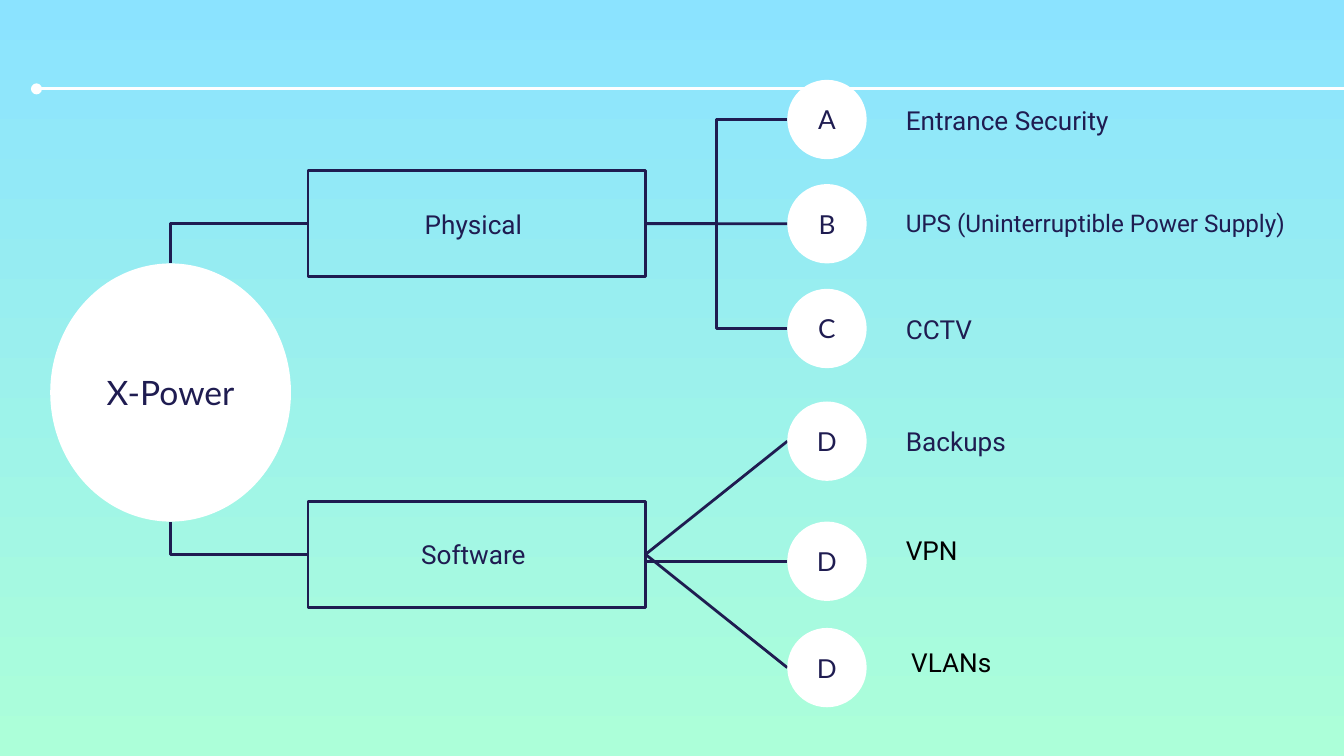
"""Build a slide with a tree of physical and software security measures."""
from lxml.etree import SubElement
from pptx import Presentation
from pptx.dml.color import RGBColor
from pptx.enum.shapes import MSO_CONNECTOR, MSO_SHAPE
from pptx.enum.text import MSO_ANCHOR, PP_ALIGN
from pptx.oxml.ns import qn
from pptx.util import Cm, Pt

NAVY = RGBColor(0x1F, 0x1C, 0x51)
WHITE = RGBColor(0xFF, 0xFF, 0xFF)
BLACK = RGBColor(0x00, 0x00, 0x00)
SKY = RGBColor(0x8B, 0xE3, 0xFF)
MINT = RGBColor(0xAC, 0xFF, 0xD9)

HUB_LEFT, HUB_TOP, HUB_W, HUB_H = 0.95, 4.98, 4.55, 4.88
HUB_X = HUB_LEFT + HUB_W / 2
BOX_LEFT, BOX_W, BOX_H = 5.82, 6.38, 2.01
BOX_RIGHT = BOX_LEFT + BOX_W
DOT_LEFT, DOT = 14.88, 1.5
LABEL_LEFT, LABEL_W, LABEL_H = 16.87, 8.1, 1.1

PHYSICAL = [
    ("A", 2.26, "Entrance Security", {}),
    ("B", 4.23, "UPS (Uninterruptible Power Supply)", {"size": 13}),
    ("C", 6.21, "CCTV", {}),
]
SOFTWARE = [
    ("D", 8.34, "Backups", {}),
    ("D", 10.61, "VPN", {"dy": -0.75, "color": BLACK}),
    ("D", 12.62, "VLANs", {"dx": 0.1, "dy": -0.65, "color": BLACK}),
]


def set_background(s):
    """Fill the slide with a gradient from top to bottom."""
    fill = s.background.fill
    fill.gradient()
    fill.gradient_angle = 270
    for stop, color in zip(fill.gradient_stops, (SKY, MINT)):
        stop.color.rgb = color


def write(sp, text, size=14, font="Roboto", color=NAVY,
          align=PP_ALIGN.CENTER, anchor=MSO_ANCHOR.MIDDLE):
    """Put one formatted paragraph into a shape."""
    tf = sp.text_frame
    tf.word_wrap = True
    tf.vertical_anchor = anchor
    tf.margin_left = tf.margin_right = tf.margin_top = tf.margin_bottom = Cm(0.25)
    p = tf.paragraphs[0]
    p.alignment = align
    r = p.add_run()
    r.text = text
    r.font.size = Pt(size)
    r.font.name = font
    r.font.color.rgb = color


def add_circle(s, left, top, width, height, text, size=14):
    """Add a white ellipse with centred text."""
    sp = s.shapes.add_shape(MSO_SHAPE.OVAL, Cm(left), Cm(top), Cm(width), Cm(height))
    sp.shadow.inherit = False
    sp.fill.solid()
    sp.fill.fore_color.rgb = WHITE
    sp.line.fill.background()
    write(sp, text, size=size, font="Lato")


def add_box(s, middle, text):
    """Add an outlined branch box centred on a height."""
    sp = s.shapes.add_shape(MSO_SHAPE.RECTANGLE, Cm(BOX_LEFT), Cm(middle - BOX_H / 2),
                            Cm(BOX_W), Cm(BOX_H))
    sp.shadow.inherit = False
    sp.fill.background()
    sp.line.color.rgb = NAVY
    sp.line.width = Pt(1.5)
    write(sp, text)
    return sp


def add_line(s, x1, y1, x2, y2, kind=MSO_CONNECTOR.STRAIGHT, color=NAVY):
    """Add a connector without a shadow."""
    line = s.shapes.add_connector(kind, Cm(x1), Cm(y1), Cm(x2), Cm(y2))
    line.line.color.rgb = color
    line.line.width = Pt(1.5)
    SubElement(line._element.spPr, qn("a:effectLst"))
    return line


def add_corner(s, x1, y1, x2, y2):
    """Add a connector with a single right-angled bend."""
    line = add_line(s, x1, y1, x2, y2, MSO_CONNECTOR.ELBOW)
    line._element.spPr.find(qn("a:prstGeom")).set("prst", "bentConnector2")


def add_title_rule(s):
    """Add the white rule that starts with a dot."""
    line = add_line(s, 0.69, 1.68, 25.4, 1.68, color=WHITE)
    SubElement(line.line._get_or_add_ln(), qn("a:headEnd"), type="oval")


def add_item(s, letter, middle, text, dx=0, dy=-0.54, **style):
    """Add a lettered circle and the label beside it."""
    add_circle(s, DOT_LEFT, middle - DOT / 2, DOT, DOT, letter)
    sp = s.shapes.add_textbox(Cm(LABEL_LEFT + dx), Cm(middle + dy),
                              Cm(LABEL_W), Cm(LABEL_H))
    write(sp, text, align=PP_ALIGN.LEFT, anchor=MSO_ANCHOR.TOP, **style)


def add_branch(s, text, middle, hub_y, items, bent):
    """Add a box, its link to the hub and its items."""
    box = add_box(s, middle, text)
    add_corner(s, BOX_LEFT, middle, HUB_X, hub_y)
    for i, (letter, y, label, style) in enumerate(items):
        if bent and i != 1:
            add_line(s, BOX_RIGHT, middle, DOT_LEFT, y, MSO_CONNECTOR.ELBOW)
        elif not bent and i == 1:
            add_line(s, BOX_RIGHT, y, DOT_LEFT, y)
        else:
            add_line(s, BOX_RIGHT, middle, DOT_LEFT, y).begin_connect(box, 3)
        add_item(s, letter, y, label, **style)


def main():
    """Build and save the slide."""
    prs = Presentation()
    prs.slide_width, prs.slide_height = Cm(25.4), Cm(14.29)
    s = prs.slides.add_slide(prs.slide_layouts[6])
    set_background(s)
    add_title_rule(s)
    add_circle(s, HUB_LEFT, HUB_TOP, HUB_W, HUB_H, "X-Power", size=18)
    add_branch(s, "Physical ", 4.23, HUB_TOP, PHYSICAL, bent=True)
    add_branch(s, "Software ", 10.48, HUB_TOP + HUB_H, SOFTWARE, bent=False)
    prs.save("out.pptx")


if __name__ == "__main__":
    main()
